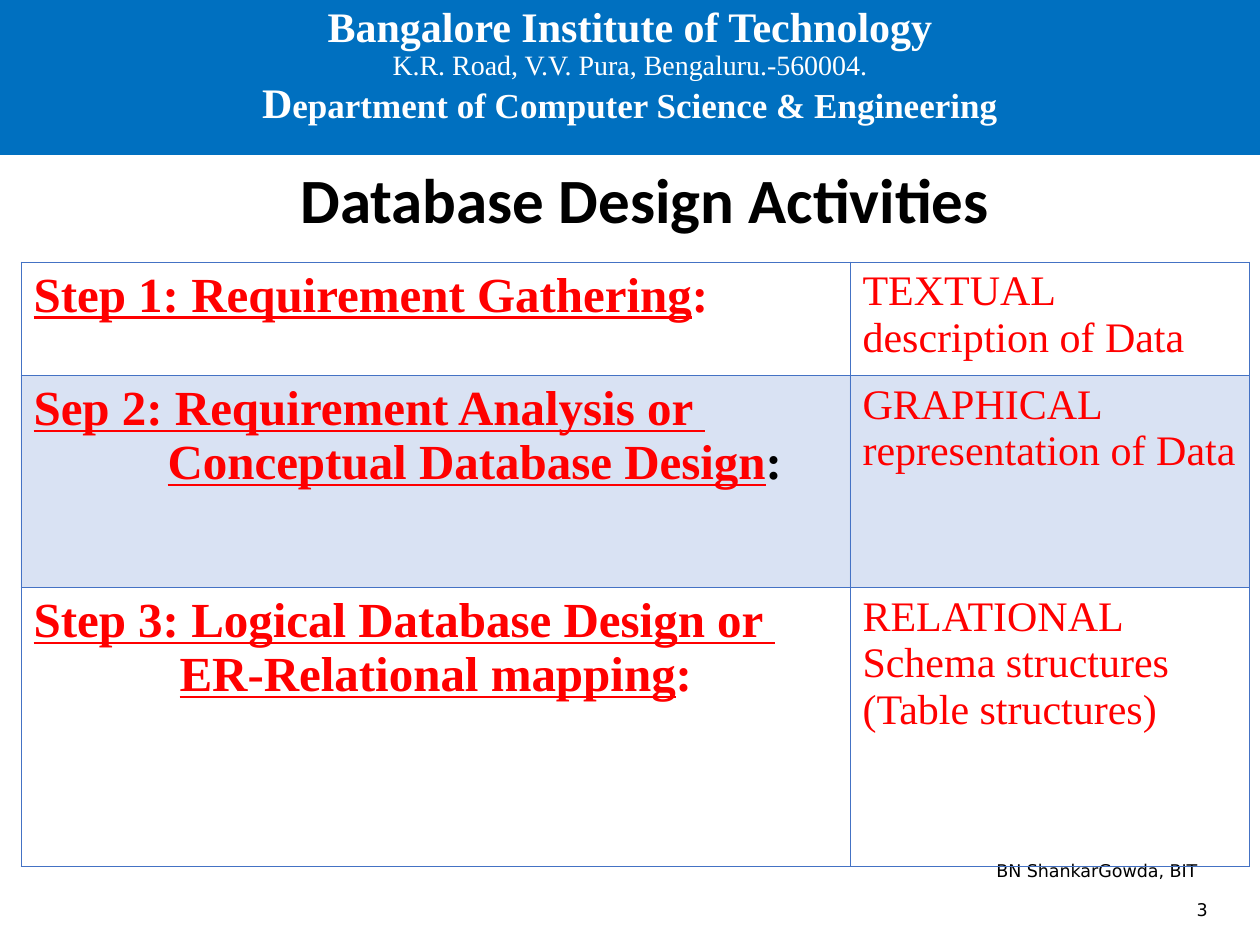
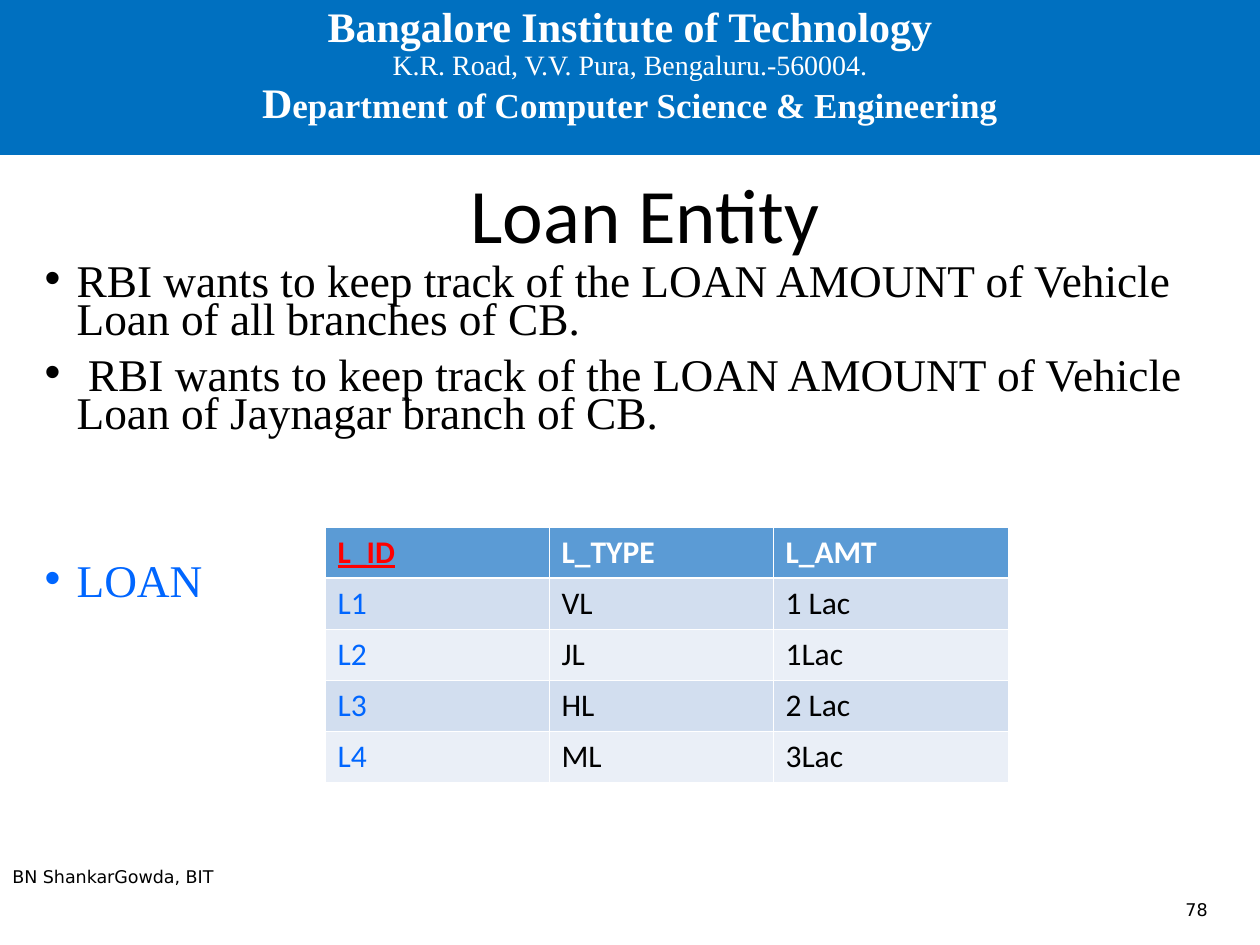
from lxml import etree
from pptx import Presentation
from pptx.dml.color import RGBColor
from pptx.enum.shapes import MSO_SHAPE as Shape
from pptx.enum.text import MSO_ANCHOR as Anchor, MSO_AUTO_SIZE as AutoSize, PP_ALIGN as Align
from pptx.oxml.ns import qn
from pptx.util import Emu, Pt

EMU_PER_PX = 914400 / 126
COLORS = {
    "band": "0070C0", "white": "FFFFFF", "black": "000000", "red": "FF0000",
    "key": "0066FF", "grid": "4472C4", "header": "5B9BD5",
    "odd_row": "D2DEEF", "even_row": "EAEFF7",
}
SERIF, SANS, SMALL = "Times New Roman", "Calibri", "DejaVu Sans"
TITLE_ONLY, TITLE_AND_BODY = 5, 1


def px(length):
    return Emu(round(length * EMU_PER_PX))


def rgb(name):
    return RGBColor.from_string(COLORS[name])


def child(parent, tag, **attributes):
    return etree.SubElement(parent, qn(tag), attributes)


def place(shape, left, top, width, height):
    shape.left, shape.top, shape.width, shape.height = map(px, (left, top, width, height))


def write(paragraph, *parts, font=SANS, size=18, color="black", bold=False,
          underline=False, align=Align.LEFT, spacing=1.0, before=0, margin=0):
    """Fill a paragraph; a part is a string or (string, overrides), "\n" a line break."""
    paragraph.alignment = align
    paragraph.line_spacing = spacing
    paragraph.space_before = Pt(before)
    properties = paragraph._p.get_or_add_pPr()
    properties.set("marL", str(px(margin)))
    properties.set("indent", "0")
    base = dict(size=size, color=color, bold=bold, underline=underline)
    for part in parts:
        if part == "\n":
            paragraph.add_line_break()
            continue
        text, overrides = (part, {}) if isinstance(part, str) else part
        look = base | overrides
        run = paragraph.add_run()
        run.text = text
        run.font.name = font
        run.font.size = Pt(look["size"])
        run.font.color.rgb = rgb(look["color"])
        run.font.bold = look["bold"]
        run.font.underline = look["underline"]


def add_band(slide):
    band = slide.shapes.add_shape(Shape.RECTANGLE, 0, 0, px(1260), px(155))
    band.shadow.inherit = False
    band.fill.solid()
    band.fill.fore_color.rgb = rgb("band")
    band.line.fill.background()
    band.text_frame.vertical_anchor = Anchor.TOP
    write(band.text_frame.paragraphs[0],
          "Bangalore Institute of Technology", "\n",
          ("K.R. Road, V.V. Pura, Bengaluru.-560004.", dict(size=16, bold=False)), "\n",
          "D", ("epartment of Computer Science & Engineering", dict(size=20)),
          font=SERIF, size=24, color="white", bold=True, align=Align.CENTER, spacing=0.9)


def add_label(slide, text, box, anchor=Anchor.TOP, align=Align.LEFT):
    label = slide.shapes.add_textbox(*map(px, box))
    label.text_frame.word_wrap = True
    label.text_frame.vertical_anchor = anchor
    write(label.text_frame.paragraphs[0], text, font=SMALL, size=10, align=align)


def add_slide(deck, layout, title, title_box, title_size, title_bold, number, author_box):
    slide = deck.slides.add_slide(deck.slide_layouts[layout])
    add_band(slide)
    heading = slide.shapes.title
    place(heading, *title_box)
    heading.text_frame.vertical_anchor = Anchor.TOP
    heading.text_frame.auto_size = AutoSize.NONE
    write(heading.text_frame.paragraphs[0], title, size=title_size, bold=title_bold,
          align=Align.CENTER, spacing=0.9)
    add_label(slide, number, (936, 885, 284, 50), Anchor.MIDDLE, Align.RIGHT)
    add_label(slide, "BN ShankarGowda, BIT", author_box)
    return slide


def add_bullet(paragraph, text, color="black", before=10):
    write(paragraph, text, font=SERIF, size=25.9, color=color, spacing=0.7,
          before=before, margin=32)
    properties = paragraph._p.get_or_add_pPr()
    properties.set("indent", str(-px(32)))
    child(child(properties, "a:buClr"), "a:srgbClr", val=COLORS[color])
    child(properties, "a:buFont", typeface="Arial")
    child(properties, "a:buChar", char="•")


def add_grid(slide, left, top, widths, heights):
    table = slide.shapes.add_table(len(heights), len(widths), px(left), px(top),
                                   px(sum(widths)), px(sum(heights))).table
    table.first_row = table.horz_banding = False
    for column, width in zip(table.columns, widths):
        column.width = px(width)
    for row, height in zip(table.rows, heights):
        row.height = px(height)
    return table


def style_cell(cell, row, border, heavy, fill=None, alpha=None):
    """Border and fill a cell; the rule below the first row is heavy."""
    properties = cell._tc.get_or_add_tcPr()
    heavy_side = {0: "B", 1: "T"}.get(row)
    for side in "LRTB":
        width = Pt(heavy if side == heavy_side else 0.45)
        line = child(properties, f"a:ln{side}", w=str(width))
        child(child(line, "a:solidFill"), "a:srgbClr", val=COLORS[border])
    if fill is None:
        cell.fill.background()
        return
    cell.fill.solid()
    cell.fill.fore_color.rgb = rgb(fill)
    if alpha:
        tint = properties.find(qn("a:solidFill")).find(qn("a:srgbClr"))
        child(tint, "a:alpha", val=str(alpha * 1000))


def add_steps(slide):
    plain = dict(underline=False)
    steps = [
        ([(["Step 1: Requirement Gathering", (":", plain)], 0)],
         "TEXTUAL description of Data"),
        ([(["Sep 2: Requirement Analysis or "], 0),
          (["Conceptual Database Design", (":", plain | dict(color="black"))], 134)],
         "GRAPHICAL representation of Data"),
        ([(["Step 3: Logical Database Design or "], 0),
          (["ER-Relational mapping", (":", plain)], 146)],
         "RELATIONAL Schema structures (Table structures)"),
    ]
    table = add_grid(slide, 21, 262, (829, 399), (106, 212, 279))
    for row, (activity, result) in enumerate(steps):
        activity_cell, result_cell = table.rows[row].cells
        for cell in (activity_cell, result_cell):
            style_cell(cell, row, "grid", 0.96, "grid" if row == 1 else None, 20)
        frame = activity_cell.text_frame
        for line, (parts, margin) in enumerate(activity):
            paragraph = frame.add_paragraph() if line else frame.paragraphs[0]
            write(paragraph, *parts, font=SERIF, size=28, color="red", bold=True,
                  underline=True, margin=margin)
        write(result_cell.text_frame.paragraphs[0], result, font=SERIF, size=24, color="red")


def add_loans(slide):
    loans = [
        ("L_ID", "L_TYPE", "L_AMT"),
        ("L1", "VL", "1 Lac"),
        ("L2", "JL", "1Lac"),
        ("L3", "HL", "2 Lac"),
        ("L4", "ML", "3Lac"),
    ]
    table = add_grid(slide, 325, 527, (224, 224, 235), [51] * len(loans))
    for row, loan in enumerate(loans):
        is_header = row == 0
        fill = "header" if is_header else ("even_row", "odd_row")[row % 2]
        key_color, value_color = ("red", "white") if is_header else ("key", "black")
        for column, value in enumerate(loan):
            is_key = column == 0
            cell = table.cell(row, column)
            style_cell(cell, row, "white", 1.47, fill)
            write(cell.text_frame.paragraphs[0], value, bold=is_header,
                  underline=is_header and is_key,
                  color=key_color if is_key else value_color)


def main():
    deck = Presentation()
    deck.slide_width, deck.slide_height = px(1260), px(945)

    activities = add_slide(deck, TITLE_ONLY, "Database Design Activities",
                           (102, 163, 1086, 79), 36, True, "3", (984, 854, 262, 42))
    add_steps(activities)

    loan_entity = add_slide(deck, TITLE_AND_BODY, "Loan Entity",
                            (102, 171, 1086, 89), 44, False, "78", (0, 860, 400, 63))
    body = loan_entity.placeholders[1]
    place(body, 32, 261, 1228, 401)
    frame = body.text_frame
    frame.auto_size = AutoSize.NONE
    frame.vertical_anchor = Anchor.TOP
    add_bullet(frame.paragraphs[0], "RBI wants to keep track of the LOAN AMOUNT of Vehicle "
               "Loan of all branches of CB.", before=0)
    add_bullet(frame.add_paragraph(), " RBI wants to keep track of the LOAN AMOUNT of Vehicle "
               "Loan of Jaynagar branch of CB.")
    add_bullet(frame.add_paragraph(), "LOAN", color="key", before=74)
    add_loans(loan_entity)

    deck.save("out.pptx")


if __name__ == "__main__":
    main()
